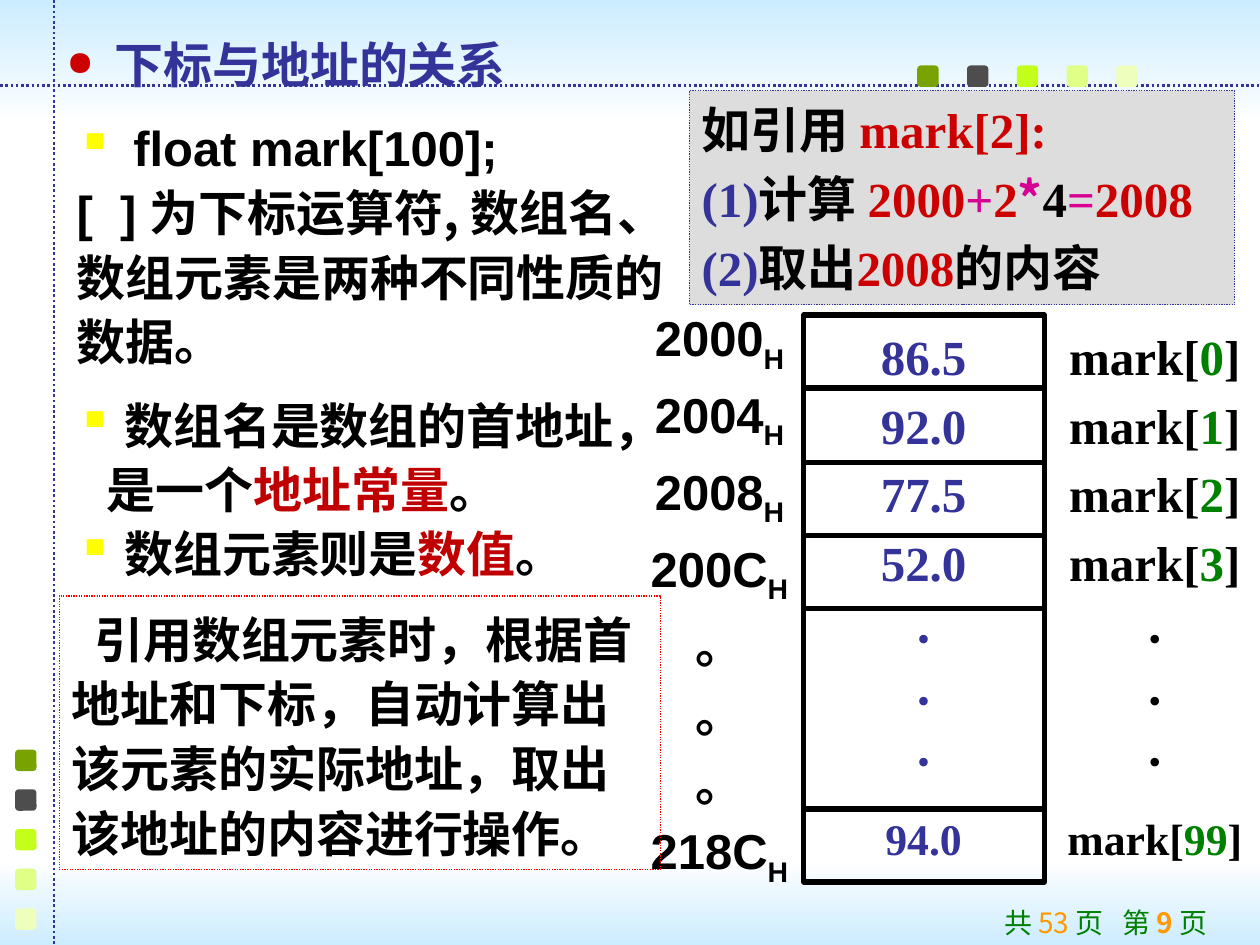
from lxml import etree
from pptx import Presentation
from pptx import util as u
from pptx.dml.color import RGBColor
from pptx.enum import dml, shapes, text
from pptx.oxml import ns

BLACK = RGBColor(0, 0, 0)
NAVY = RGBColor(0x33, 0x33, 0x99)
RED = RGBColor(0xCC, 0, 0)
DARK_RED = RGBColor(0xC0, 0, 0)
BORDER_RED = RGBColor(0xFF, 0, 0)
PINK = RGBColor(0xD6, 0, 0x93)
GREEN = RGBColor(0, 0x80, 0)
ORANGE = RGBColor(0xFF, 0x99, 0)
YELLOW = RGBColor(0xFF, 0xFF, 0)
GREY = RGBColor(0xDD, 0xDD, 0xDD)
SKY = RGBColor(0xCC, 0xEC, 0xFF)
WHITE = RGBColor(0xFF, 0xFF, 0xFF)
SQUARES = [RGBColor.from_string(c) for c in ("78A200", "4D4D4D", "C3FF1B", "E0FF87", "EEFFBD")]
CJK, ARIAL, TIMES, MONT = "Noto Sans CJK SC", "Arial", "Times New Roman", "Montserrat"
CENTER, RIGHT = text.PP_ALIGN.CENTER, text.PP_ALIGN.RIGHT
DOTTED = dml.MSO_LINE.ROUND_DOT


def sub(parent, tag, **attrs):
    return etree.SubElement(parent, ns.qn(tag), **attrs)


class Deck:
    """Holds the style and the current slide, and draws each kind of element."""

    def __init__(self, prs):
        self.s = prs.slides.add_slide(prs.slide_layouts[6])
        self.style = {"size": u.Pt(28), "bold": True, "name": CJK}

    def stroke(self, sp, color, width, dash=None):
        sp.line.color.rgb = color
        sp.line.width = u.Pt(width)
        if dash:
            sp.line.dash_style = dash

    def shape(self, box, kind=shapes.MSO_SHAPE.RECTANGLE, fill=None, line=None):
        sp = self.s.shapes.add_shape(kind, *map(u.Inches, box))
        sp.shadow.inherit = False
        if fill is None:
            sp.fill.background()
        else:
            sp.fill.solid()
            sp.fill.fore_color.rgb = fill
        if line:
            self.stroke(sp, *line)
        else:
            sp.line.fill.background()
        return sp

    def band(self, box, top, bottom):
        fill = self.shape(box).fill
        fill.gradient()
        fill.gradient_angle = 270
        for stop, color in zip(fill.gradient_stops, (top, bottom)):
            stop.color.rgb = color

    def line(self, x1, y1, x2, y2, *stroke):
        ends = map(u.Inches, (x1, y1, x2, y2))
        sp = self.s.shapes.add_connector(shapes.MSO_CONNECTOR.STRAIGHT, *ends)
        self.stroke(sp, *stroke)
        sub(sp.element.spPr, "a:effectLst")

    def textbox(self, box, paras, **fmt):
        sp = self.s.shapes.add_textbox(*map(u.Inches, box))
        self.fill_text(sp, paras, **fmt)

    def fill_text(self, sp, paras, wrap=True, grow=True, middle=False, **fmt):
        tf = sp.text_frame
        tf.word_wrap = wrap
        tf.auto_size = text.MSO_AUTO_SIZE.SHAPE_TO_FIT_TEXT if grow else text.MSO_AUTO_SIZE.NONE
        tf.vertical_anchor = text.MSO_ANCHOR.MIDDLE if middle else text.MSO_ANCHOR.TOP
        for i, (runs, own) in enumerate(paras):
            p = tf.paragraphs[0] if i == 0 else tf.add_paragraph()
            self.paragraph(p, runs, **{**fmt, **own})

    def paragraph(self, p, runs, align=text.PP_ALIGN.LEFT, spacing=None, before=None, gap=None,
                  left=0, indent=0, bullet=None, **font):
        p.alignment = align
        p.line_spacing = spacing
        pPr = p._p.get_or_add_pPr()
        pPr.set("marL", str(u.Inches(left)))
        pPr.set("indent", str(u.Inches(indent)))
        if gap:
            p.space_before = u.Pt(gap)
        elif before:
            sub(sub(pPr, "a:spcBef"), "a:spcPct", val=str(before * 1000))
        if bullet:
            char, color, size = bullet
            sub(sub(pPr, "a:buClr"), "a:srgbClr", val=str(color))
            sub(pPr, "a:buSzPct", val=str(size * 1000))
            sub(pPr, "a:buChar", char=char)
        for words, color, *own in runs:
            self.add_words(p, words, color, {**self.style, **font, **(own[0] if own else {})})

    def add_words(self, p, words, color, fmt):
        r = p.add_run()
        r.text = words
        r.font.color.rgb = color
        rPr = r._r.get_or_add_rPr()
        for key, value in fmt.items():
            if key in ("baseline", "spc"):
                rPr.set(key, str(value))
            else:
                setattr(r.font, key, value)
        sub(rPr, "a:ea", typeface=CJK)


prs = Presentation()
prs.slide_width, prs.slide_height = u.Inches(10), u.Inches(7.5)
d = Deck(prs)

d.band((0, 0, 10, 0.99), SKY, WHITE)
d.band((0, 6.82, 10, 0.68), WHITE, SKY)
d.line(0, 0.68, 10, 0.68, NAVY, 1.5, DOTTED)
for i, color in enumerate(SQUARES):
    for x, y in ((7.28 + 0.79 * i / 2, 0.52), (0.12, 5.95 + 0.63 * i / 2)):
        d.shape((x, y, 0.17, 0.17), shapes.MSO_SHAPE.ROUNDED_RECTANGLE, color)
d.line(0.43, 0, 0.43, 7.5, NAVY, 1.5, DOTTED)

page = [("共 ", GREEN), ("53 ", ORANGE), ("页", GREEN), (" ", GREEN, {"spc": 720}),
        ("第 ", GREEN), ("9 ", ORANGE, {"bold": True}), ("页", GREEN)]
d.textbox((7.05, 7.14, 2.63, 0.36), [(page, {})], grow=False, align=RIGHT, before=20,
          size=u.Pt(16), bold=False)

d.shape((6.38, 2.5, 1.91, 4.5), line=(BLACK, 3))
for y in (3.08, 3.67, 4.25, 4.83, 6.42):
    d.line(6.38, y, 8.29, y, BLACK, 3)

SMALL = {"size": u.Pt(25)}
LAST = {**SMALL, "gap": 21}


def label(index):
    return [("mark[", BLACK), (index, GREEN), ("]", BLACK)]


def memory_column(rows, dot_color):
    dots = [([(".", dot_color)], {**SMALL, "name": MONT})] * 3
    return [(row, {}) for row in rows[:-1]] + dots + [(rows[-1], LAST)]


column = {"wrap": False, "middle": True, "align": CENTER, "before": 20}
names = [label(index) for index in ("0", "1", "2", "3", "99")]
values = [[(value, NAVY)] for value in ("86.5", "92.0", "77.5", "52.0", "94.0")]
addresses = [[(a, BLACK), ("H", BLACK, {"baseline": -25000})] if a != "。" else [(a, BLACK)]
             for a in ("2000", "2004", "2008", "200C", "。", "。", "。", "218C")]
d.textbox((8.37, 2.5, 1.59, 4.45), memory_column(names, BLACK), name=TIMES, **column)
d.textbox((6.89, 2.5, 0.88, 4.45), memory_column(values, NAVY), name=TIMES, **column)
d.textbox((5.05, 2.5, 1.32, 4.49), [(a, {}) for a in addresses], name=ARIAL, **column)

summary = "引用数组元素时，根据首地址和下标，自动计算出该元素的实际地址，取出该地址的内容进行操作。"
sp = d.shape((0.47, 4.73, 4.77, 2.17), line=(BORDER_RED, 0.75, DOTTED))
d.fill_text(sp, [([(summary, BLACK)], {})], middle=True, spacing=1.1, indent=0.18)

example = [
    [("如引用 ", BLACK), ("mark[2]:", RED)],
    [("(1)", NAVY), ("计算 ", BLACK), ("2000", RED), ("+", PINK), ("2", RED),
     ("*", PINK, {"name": CJK}), ("4", BLACK), ("=", PINK), ("2008", RED)],
    [("(2)", NAVY), ("取出", BLACK), ("2008", RED), ("的内容", BLACK)],
]
sp = d.shape((5.47, 0.72, 4.33, 1.7), fill=GREY, line=(NAVY, 0.75, DOTTED))
d.fill_text(sp, [(runs, {}) for runs in example], middle=True, before=20, name=TIMES)

d.textbox((0.43, 0.28, 4.43, 0.55), [([("下标与地址的关系", NAVY)], {})], grow=False,
          spacing=0.9, before=20, left=0.38, indent=-0.38, bullet=("●", RED, 70))

SQUARE = ("▪", YELLOW, 100)
hanging = {"spacing": 1.1, "left": 0.24, "indent": -0.24, "bullet": SQUARE}
declaration = ([("float mark[100];", BLACK)],
               {"name": ARIAL, "left": 0.45, "indent": -0.45, "bullet": SQUARE})
operator = ([("[  ] ", BLACK, {"name": ARIAL}),
             ("为下标运算符, 数组名、数组元素是两种不同性质的数据。", BLACK)], {})
d.textbox((0.51, 0.84, 5.1, 2.16), [declaration, operator], spacing=1.1)
d.textbox((0.51, 3.04, 4.7, 1.07),
          [([(" 数组名是数组的首地址，是一个", BLACK), ("地址常量", DARK_RED), ("。", BLACK)], {})],
          **hanging)
d.textbox((0.51, 4.06, 4.13, 0.56),
          [([(" 数组元素则是", BLACK), ("数值", DARK_RED), ("。", BLACK)], {})],
          wrap=False, **hanging)

prs.save("out.pptx")
